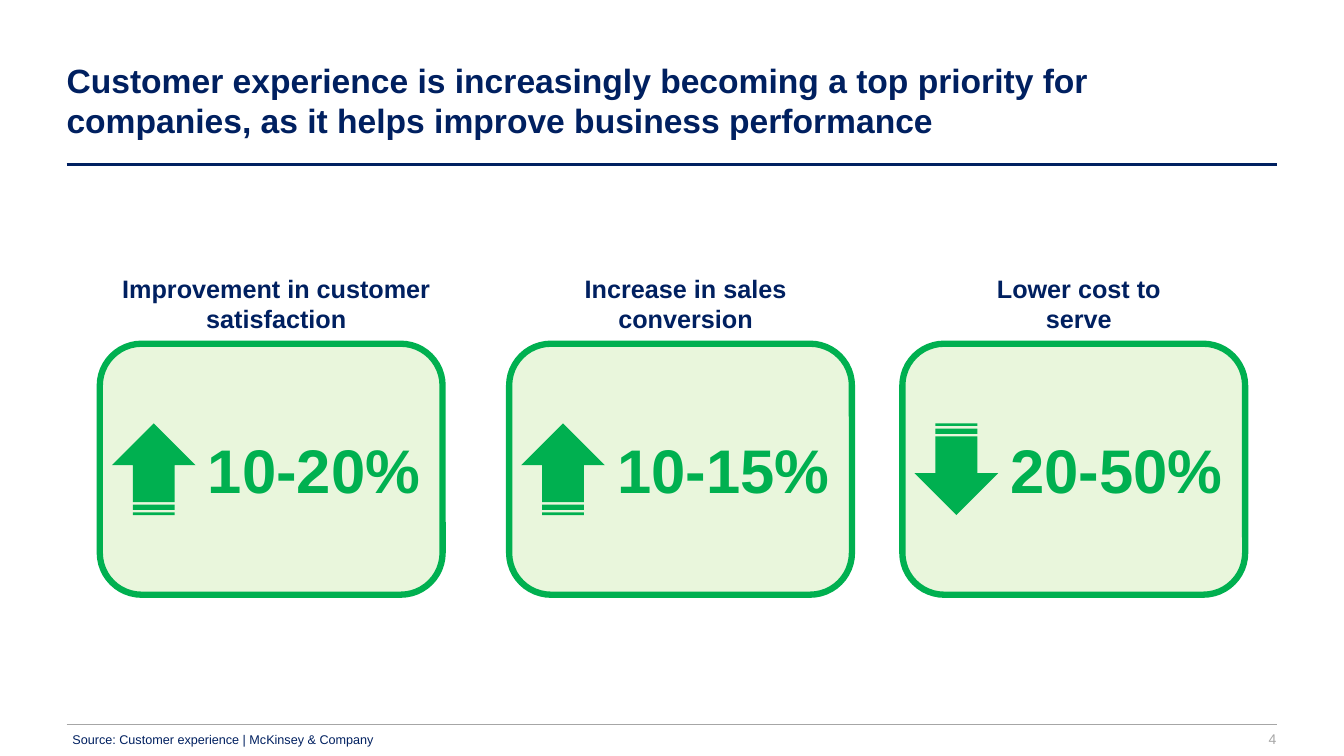
from pptx import Presentation
from pptx.dml.color import RGBColor
from pptx.enum.shapes import MSO_CONNECTOR, MSO_SHAPE
from pptx.enum.text import MSO_ANCHOR, MSO_AUTO_SIZE, PP_ALIGN
from pptx.oxml.ns import qn
from pptx.util import Inches, Pt
from lxml import etree

LEFT, CENTER, RIGHT = PP_ALIGN.LEFT, PP_ALIGN.CENTER, PP_ALIGN.RIGHT
TOP, MIDDLE = MSO_ANCHOR.TOP, MSO_ANCHOR.MIDDLE
NO_FIT = MSO_AUTO_SIZE.NONE
STRAIGHT = MSO_CONNECTOR.STRAIGHT
ROUNDED, ARROW = MSO_SHAPE.ROUNDED_RECTANGLE, MSO_SHAPE.STRIPED_RIGHT_ARROW

COLORS = {"navy": "002060", "green": "00B050", "pale": "E9F6DC", "grey": "A6A6A6"}
FONT = "Arial"
UP, DOWN = 270, 90
CARD_W, CARD_H, CARD_TOP = 3.4, 2.49, 3.41
CARDS = [
    (0.99, "Improvement in customer satisfaction", 3.4, "10-20%", UP),
    (5.05, "Increase in sales conversion", 3.4, "10-15%", UP),
    (8.95, "Lower cost to serve", 2.17, "20-50%", DOWN),
]


def rgb(name):
    return RGBColor.from_string(COLORS[name])


def write(sp, text, size, color="navy", bold=False, align=LEFT, anchor=TOP, inset=None):
    tf = sp.text_frame
    tf.word_wrap = True
    tf.auto_size = NO_FIT
    tf.vertical_anchor = anchor
    if inset is not None:
        tf.margin_left = tf.margin_right = tf.margin_top = tf.margin_bottom = Inches(inset)
    p = tf.paragraphs[0]
    p.alignment = align
    r = p.add_run()
    r.text = text
    r.font.name, r.font.size, r.font.bold = FONT, Pt(size), bold
    r.font.color.rgb = rgb(color)


class Deck:
    """Holds the slide and draws its elements in the deck's style."""

    def __init__(self, prs):
        self.s = prs.slides.add_slide(prs.slide_layouts[5])

    def title(self, text, x, y, w, h):
        sp = self.s.shapes.title
        sp.left, sp.top, sp.width, sp.height = map(Inches, (x, y, w, h))
        write(sp, text, 24, bold=True, anchor=MIDDLE)

    def text(self, text, x, y, w, h, **fmt):
        sp = self.s.shapes.add_textbox(*map(Inches, (x, y, w, h)))
        write(sp, text, **fmt)

    def rule(self, y, color, width):
        ln = self.s.shapes.add_connector(STRAIGHT, *map(Inches, (0.66, y, 12.67, y)))
        ln.line.color.rgb = rgb(color)
        ln.line.width = Pt(width)
        etree.SubElement(ln._element.spPr, qn("a:effectLst"))

    def shape(self, kind, x, y, w, h, fill, line=None):
        sp = self.s.shapes.add_shape(kind, *map(Inches, (x, y, w, h)))
        sp.shadow.inherit = False
        sp.fill.solid()
        sp.fill.fore_color.rgb = rgb(fill)
        if line:
            sp.line.color.rgb = rgb(line)
            sp.line.width = Pt(4.5)
        else:
            sp.line.fill.background()
        return sp

    def card(self, x, label, label_w, value, direction):
        sp = self.shape(ROUNDED, x, CARD_TOP, CARD_W, CARD_H, "pale", "green")
        write(sp, value, 44, "green", bold=True, align=RIGHT, anchor=MIDDLE)
        label_x = x + 0.05 + (CARD_W - label_w) / 2
        self.text(label, label_x, 2.66, label_w, 0.71, size=18, bold=True, align=CENTER)
        arrow = self.shape(ARROW, x + 0.08, 4.24, 0.91, 0.83, "green")
        arrow.rotation = direction


def main():
    prs = Presentation()
    prs.slide_width, prs.slide_height = Inches(13.33), Inches(7.5)
    deck = Deck(prs)
    deck.rule(1.63, "navy", 2)
    deck.rule(7.19, "grey", 1)
    deck.title("Customer experience is increasingly becoming a top priority for companies, "
               "as it helps improve business performance", 0.56, 0.4, 12.11, 1.18)
    for card in CARDS:
        deck.card(*card)
    deck.text("Source: Customer experience | McKinsey & Company", 0.62, 7.21, 4.48, 0.25, size=9)
    deck.text("4", 12.27, 7.23, 0.39, 0.21, size=10, color="grey",
              align=RIGHT, anchor=MIDDLE, inset=0)
    prs.save("out.pptx")


if __name__ == "__main__":
    main()
